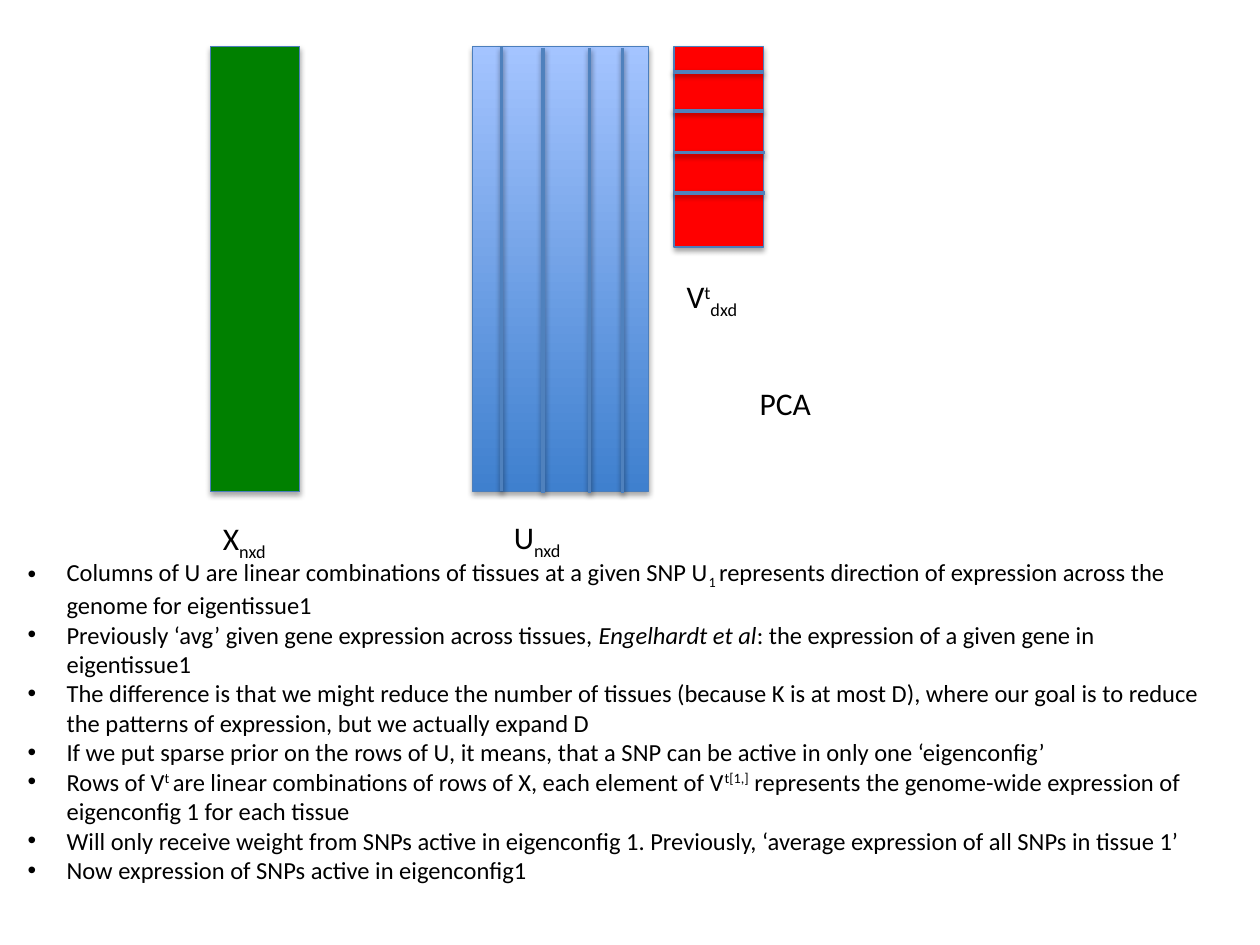
import pptx
import pptx.util
import pptx.dml.color
import pptx.enum.shapes
import pptx.oxml.ns
import lxml.etree

BARS = [
    (16.7, 3.7, 7.1, 35.3, ["green"]),
    (37.5, 3.7, 14, 35.3, ["deep", "pale"]),
    (53.5, 3.7, 7.1, 15.9, ["red"]),
]
COLS = [(39.8, 3.7), (43.1, 3.8), (46.8, 3.8), (49.4, 3.8)]
ROWS = [(53.4, 5.7), (53.4, 8.8), (53.5, 12.1), (53.5, 15.3)]
TALL, WIDE = 35.3, 7.2
LABELS = [
    (39.8, 40.6, 9.5, [("U", ""), ("nxd", "sub")]),
    (53.5, 21.5, 9.5, [("V", ""), ("t", "sup"), ("dxd", "sub")]),
    (16.7, 40.7, 9.5, [("X", ""), ("nxd", "sub")]),
    (59.3, 30, 23.5, [("PCA", "")]),
]
NOTES = [
    [("Columns of U are linear combinations of tissues at a given SNP U", ""),
     ("1 ", "sub"),
     ("represents direction of expression across the genome for eigentissue1", "")],
    [("Previously ‘avg’ given gene expression across tissues, ", ""),
     ("Engelhardt et al", "ital"),
     (": the expression of a given gene in eigentissue1", "")],
    [("The difference is that we might reduce the number of tissues (because K is "
      "at most D), where our goal is to reduce the patterns of expression, but we "
      "actually expand D", "")],
    [("If we put sparse prior on the rows of U, it means, that a SNP can be active "
      "in only one ‘eigenconfig’", "")],
    [("Rows of V", ""), ("t ", "sup"),
     ("are linear combinations of rows of X, each element of V", ""),
     ("t[1,]", "sup"),
     (" represents the genome-wide expression of eigenconfig 1 for each tissue", "")],
    [("Will only receive weight from SNPs active in eigenconfig 1. Previously, "
      "‘average expression of all SNPs in tissue 1’", "")],
    [("Now expression of SNPs active in eigenconfig1", "")],
]
THEME = {
    "font": "Calibri", "label": 18, "note": 14, "ink": "000000",
    "green": "008000", "red": "FF0000", "deep": "3F80CE", "pale": "A4C4FF",
    "edge": "4B7EBC", "rule": "4F81BD",
}
SHIFT = {"sub": "-25000", "sup": "30000"}
INDENT = 3.1

deck = pptx.Presentation()
deck.slide_width = pptx.util.Inches(10)
deck.slide_height = pptx.util.Inches(7.5)
CELL = deck.slide_width / 100
slide = deck.slides.add_slide(deck.slide_layouts[6])


def grid(*nums):
    return [round(n * CELL) for n in nums]


def color(name):
    return pptx.dml.color.RGBColor.from_string(THEME[name])


def add(parent, tag, **attrs):
    node = lxml.etree.SubElement(parent, pptx.oxml.ns.qn(tag))
    for key, value in attrs.items():
        node.set(key, str(value))
    return node


def stroke(shape, name, width):
    shape.line.color.rgb = color(name)
    shape.line.width = pptx.util.Pt(width)


def shade(shape, alpha, dist):
    effect = add(shape._element.spPr, "a:effectLst")
    cast = add(effect, "a:outerShdw", blurRad=pptx.util.Pt(3.1),
               dist=pptx.util.Pt(dist), dir=5400000, rotWithShape=0)
    tint = add(cast, "a:srgbClr", val=THEME["ink"])
    add(tint, "a:alpha", val=alpha * 1000)


def bar(x, y, w, h, fills):
    box = slide.shapes.add_shape(
        pptx.enum.shapes.MSO_SHAPE.RECTANGLE, *grid(x, y, w, h))
    if len(fills) == 1:
        box.fill.solid()
        box.fill.fore_color.rgb = color(fills[0])
    else:
        box.fill.gradient()
        box.fill.gradient_angle = 90
        for stop, name in zip(box.fill.gradient_stops, fills):
            stop.color.rgb = color(name)
    stroke(box, "edge", 0.75)
    shade(box, 35, 1.8)


def rule(x, y, w, h):
    line = slide.shapes.add_connector(
        pptx.enum.shapes.MSO_CONNECTOR.STRAIGHT, *grid(x, y, x + w, y + h))
    stroke(line, "rule", 2)
    shade(line, 38, 1.6)


def text(paras, x, y, w, h, size="label", bullet=False):
    frame = slide.shapes.add_textbox(*grid(x, y, w, h)).text_frame
    frame.word_wrap = True
    for i, runs in enumerate(paras):
        para = frame.add_paragraph() if i else frame.paragraphs[0]
        if bullet:
            props = para._p.get_or_add_pPr()
            dent, = grid(INDENT)
            props.set("marL", str(dent))
            props.set("indent", str(-dent))
            add(props, "a:buFont", typeface="Arial")
            add(props, "a:buChar", char="•")
        for words, style in runs:
            run = para.add_run()
            run.text = words
            run.font.name = THEME["font"]
            run.font.size = pptx.util.Pt(THEME[size])
            run.font.color.rgb = color("ink")
            if style == "ital":
                run.font.italic = True
            elif style:
                run._r.get_or_add_rPr().set("baseline", SHIFT[style])


for item in BARS:
    bar(*item)
for x, y in COLS:
    rule(x, y, 0, TALL)
for x, y in ROWS:
    rule(x, y, WIDE, 0)
for x, y, w, runs in LABELS:
    text([runs], x, y, w, 4)
text(NOTES, 1.2, 43.7, 95.9, 29, size="note", bullet=True)

deck.save("out.pptx")
